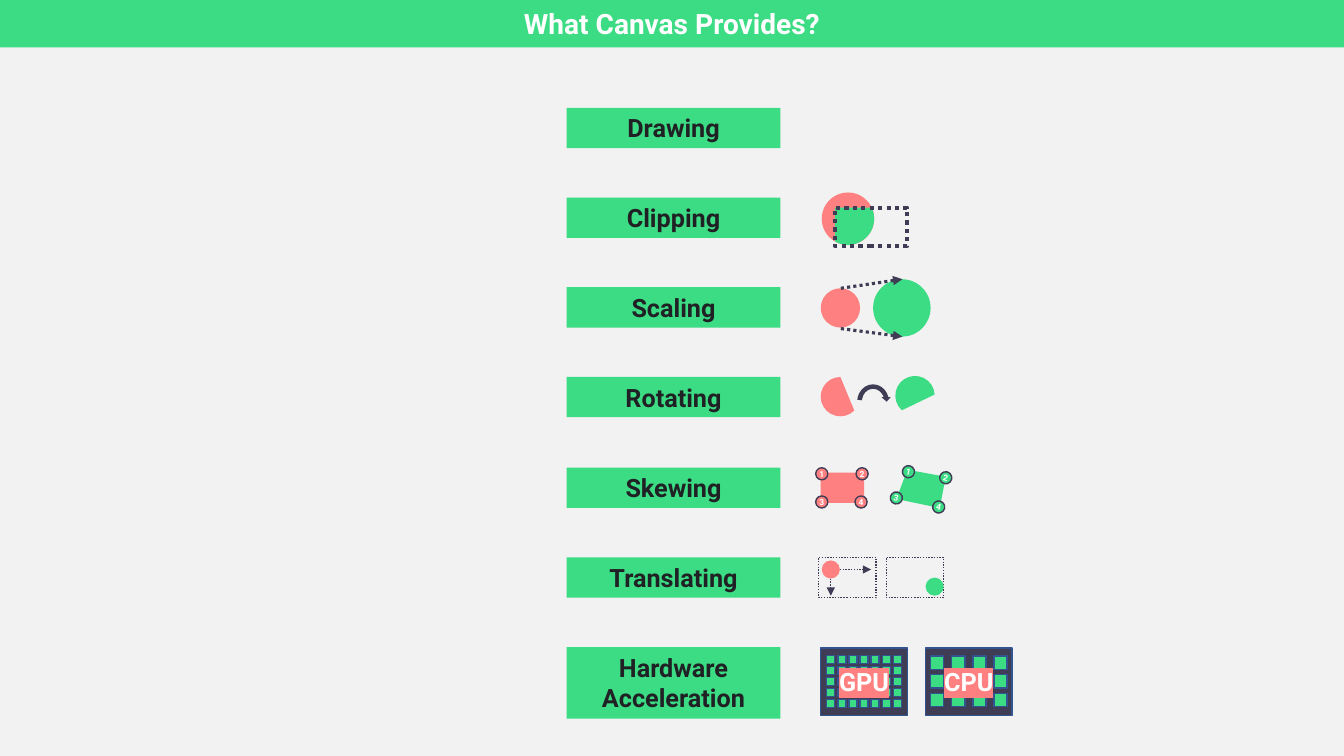
from math import cos, radians, sin

from pptx import Presentation
from pptx.dml.color import RGBColor
from pptx.enum.dml import MSO_LINE_DASH_STYLE as DASH
from pptx.enum.shapes import MSO_CONNECTOR, MSO_SHAPE as SHAPE
from pptx.enum.text import MSO_ANCHOR as ANCHOR, PP_ALIGN as ALIGN
from pptx.oxml import parse_xml
from pptx.oxml.ns import nsdecls, qn
from pptx.util import Pt

EMU_PER_PX = 9144
WIDTH, HEIGHT = 1333, 750
FONT = "Roboto"
COLORS = {"background": "F2F2F2", "green": "3CDC84", "pink": "FF8080",
          "dark": "3F3D56", "edge": "325491", "label": "202124", "white": "FFFFFF"}
LABEL_LEFT, LABEL_WIDTH, LABEL_HEIGHT = 562, 212, 40
ICON_LEFT, FIRST_TOP, LAST_TOP = 814, 107, 642


def px(length):
    """Turn a length in px into EMU."""
    return round(length * EMU_PER_PX)


def color(name):
    """Look up a named colour."""
    return RGBColor.from_string(COLORS[name])


def style_line(line, name, weight, dash=None):
    """Set colour, weight and dash of a line."""
    line.color.rgb = color(name)
    line.width = Pt(weight)
    if dash:
        line.dash_style = dash


def paint(shape, fill=None, line=None, weight=1, dash=None):
    """Give a shape its fill and outline without a shadow."""
    shape.shadow.inherit = False
    if fill:
        shape.fill.solid()
        shape.fill.fore_color.rgb = color(fill)
    else:
        shape.fill.background()
    if line:
        style_line(shape.line, line, weight, dash)
    else:
        shape.line.fill.background()
    return shape


def add_shape(shapes, kind, left, top, width, height, fill=None, **outline):
    """Add a painted preset shape."""
    shape = shapes.add_shape(kind, px(left), px(top), px(width), px(height))
    return paint(shape, fill, **outline)


def add_outline(shapes, points, fill):
    """Add a closed filled outline."""
    corners = [(px(x), px(y)) for x, y in points]
    builder = shapes.build_freeform(*corners[0], scale=1)
    builder.add_line_segments(corners[1:], close=True)
    paint(builder.convert_to_shape(), fill)


def add_arrow(shapes, start, end, weight):
    """Add a dotted line with a triangular head."""
    ends = [px(value) for value in (*start, *end)]
    arrow = shapes.add_connector(MSO_CONNECTOR.STRAIGHT, *ends)
    style_line(arrow.line, "dark", weight, DASH.ROUND_DOT)
    properties = arrow._element.spPr
    properties.find(qn("a:ln")).append(
        parse_xml(f'<a:tailEnd {nsdecls("a")} type="triangle"/>'))
    properties.append(parse_xml(f'<a:effectLst {nsdecls("a")}/>'))


def write(shape, text, size, name, wrap=True, anchor=ANCHOR.TOP):
    """Write bold centred text and return its run."""
    frame = shape.text_frame
    frame.text = text
    frame.word_wrap = wrap
    frame.vertical_anchor = anchor
    paragraph = frame.paragraphs[0]
    paragraph.alignment = ALIGN.CENTER
    run = paragraph.runs[0]
    run.font.size, run.font.bold, run.font.name = Pt(size), True, FONT
    run.font.color.rgb = color(name)
    return run


def draw_header(shapes, left, top, width, height):
    """Draw the title band."""
    add_shape(shapes, SHAPE.RECTANGLE, left, top, width, height, "green")
    title = shapes.add_textbox(px(left + 508), px(top + 2), px(317), px(44))
    write(title, "What Canvas Provides?", 20, "white", wrap=False)


def draw_label(shapes, text, left, top, width, height):
    """Draw one feature label."""
    label = add_shape(shapes, SHAPE.RECTANGLE, left, top, width, height, "green")
    write(label, text, 18, "label")


def draw_clipping(shapes, left, top):
    """Draw a circle cut by a dotted frame."""
    center_x, center_y, radius = left + 27, top + 21, 26
    add_shape(shapes, SHAPE.OVAL, center_x - radius, center_y - radius,
              2 * radius, 2 * radius, "pink")
    arc = [(center_x + radius * cos(radians(angle)), center_y + radius * sin(radians(angle)))
           for angle in range(-25, 121, 5)]
    add_outline(shapes, [(left + 14, top + 10), *arc], "green")
    add_shape(shapes, SHAPE.RECTANGLE, left + 14, top + 10, 72, 38,
              line="dark", weight=3, dash=DASH.ROUND_DOT)


def draw_scaling(shapes, left, top):
    """Draw a small circle growing into a large one."""
    add_shape(shapes, SHAPE.OVAL, left, top + 1, 39, 39, "pink")
    add_shape(shapes, SHAPE.OVAL, left + 52, top - 8, 57, 57, "green")
    for start, end in ((1, -8), (41, 49)):
        add_arrow(shapes, (left + 20, top + start), (left + 81, top + end), 2.25)


def draw_rotating(shapes, left, top):
    """Draw a chord turned by a curved arrow."""
    add_shape(shapes, SHAPE.CHORD, left, top, 39, 39, "pink")
    add_shape(shapes, SHAPE.CHORD, left + 74, top - 1, 39, 39, "green").rotation = 86.8
    arrow = add_shape(shapes, SHAPE.CIRCULAR_ARROW, left + 34, top + 5, 36, 39, "dark")
    for index, value in enumerate((0.125, 11.423, 204.577, 112.222, 0.125)):
        arrow.adjustments[index] = value


def draw_skewing(shapes, left, top):
    """Draw a rectangle and its skewed form with numbered corners."""
    add_shape(shapes, SHAPE.RECTANGLE, left, top + 5, 43, 30, "pink")
    corners = ((86, 2), (124, 9), (118, 40), (75, 31))
    add_outline(shapes, [(left + x, top + y) for x, y in corners], "green")
    handles = {"pink": (0, ((-5, 0), (35, 0), (-5, 28), (34, 28))),
               "green": (13, ((81, -2), (118, 4), (69, 24), (111, 33)))}
    for fill, (angle, places) in handles.items():
        for number, (x, y) in enumerate(places, 1):
            handle = add_shape(shapes, SHAPE.OVAL, left + x, top + y, 12, 12,
                               fill, line="dark")
            handle.rotation = angle
            frame = handle.text_frame
            frame.margin_left = frame.margin_right = 0
            frame.margin_top = frame.margin_bottom = 0
            write(handle, str(number), 6, "white", wrap=False, anchor=ANCHOR.MIDDLE)


def draw_translating(shapes, left, top):
    """Draw a dot moved across a dotted frame."""
    for x in (-2, 65):
        add_shape(shapes, SHAPE.RECTANGLE, left + x, top, 57, 40,
                  line="dark", dash=DASH.ROUND_DOT)
    add_shape(shapes, SHAPE.OVAL, left + 1, top + 3, 18, 18, "pink")
    add_shape(shapes, SHAPE.OVAL, left + 104, top + 20, 18, 18, "green")
    add_arrow(shapes, (left + 19, top + 12), (left + 50, top + 12), 1)
    add_arrow(shapes, (left + 10, top + 21), (left + 10, top + 38), 1)


def draw_chip(shapes, name, left, top, inset, grid, span, core):
    """Draw a chip with a grid of cores and a highlighted name."""
    add_shape(shapes, SHAPE.RECTANGLE, left, top, 86, 67, "dark", line="edge")
    columns, rows = grid
    for row in range(rows):
        for column in range(columns):
            add_shape(shapes, SHAPE.RECTANGLE,
                      left + inset[0] + column * span[0] / (columns - 1),
                      top + inset[1] + row * span[1] / (rows - 1),
                      core, core, "green", line="edge")
    box = shapes.add_textbox(px(left + 8), px(top + 13), px(70), px(40))
    run = write(box, name, 18, "white")
    run._r.find(qn("a:rPr")).find(qn("a:solidFill")).addnext(parse_xml(
        f'<a:highlight {nsdecls("a")}><a:srgbClr val="{COLORS["pink"]}"/></a:highlight>'))


def draw_hardware(shapes, left, top):
    """Draw the two processor chips."""
    draw_chip(shapes, "GPU", left, top + 1, (6, 7), (7, 5), (66, 44), 8)
    draw_chip(shapes, "CPU", left + 104, top + 1, (5, 8), (4, 3), (63, 37), 13)


FEATURES = (("Drawing", None), ("Clipping", draw_clipping), ("Scaling", draw_scaling),
            ("Rotating", draw_rotating), ("Skewing", draw_skewing),
            ("Translating", draw_translating), ("Hardware Acceleration", draw_hardware))


def main():
    """Build the slide and save it."""
    presentation = Presentation()
    presentation.slide_width, presentation.slide_height = px(WIDTH), px(HEIGHT)
    slide = presentation.slides.add_slide(presentation.slide_layouts[6])
    slide.background.fill.solid()
    slide.background.fill.fore_color.rgb = color("background")
    draw_header(slide.shapes, 0, 0, WIDTH, 47)
    pitch = (LAST_TOP - FIRST_TOP) / (len(FEATURES) - 1)
    for index, (text, draw_icon) in enumerate(FEATURES):
        top = round(FIRST_TOP + index * pitch)
        height = 71 if draw_icon is draw_hardware else LABEL_HEIGHT
        draw_label(slide.shapes, text, LABEL_LEFT, top, LABEL_WIDTH, height)
        if draw_icon:
            draw_icon(slide.shapes.add_group_shape().shapes, ICON_LEFT, top)
    presentation.save("out.pptx")


if __name__ == "__main__":
    main()
